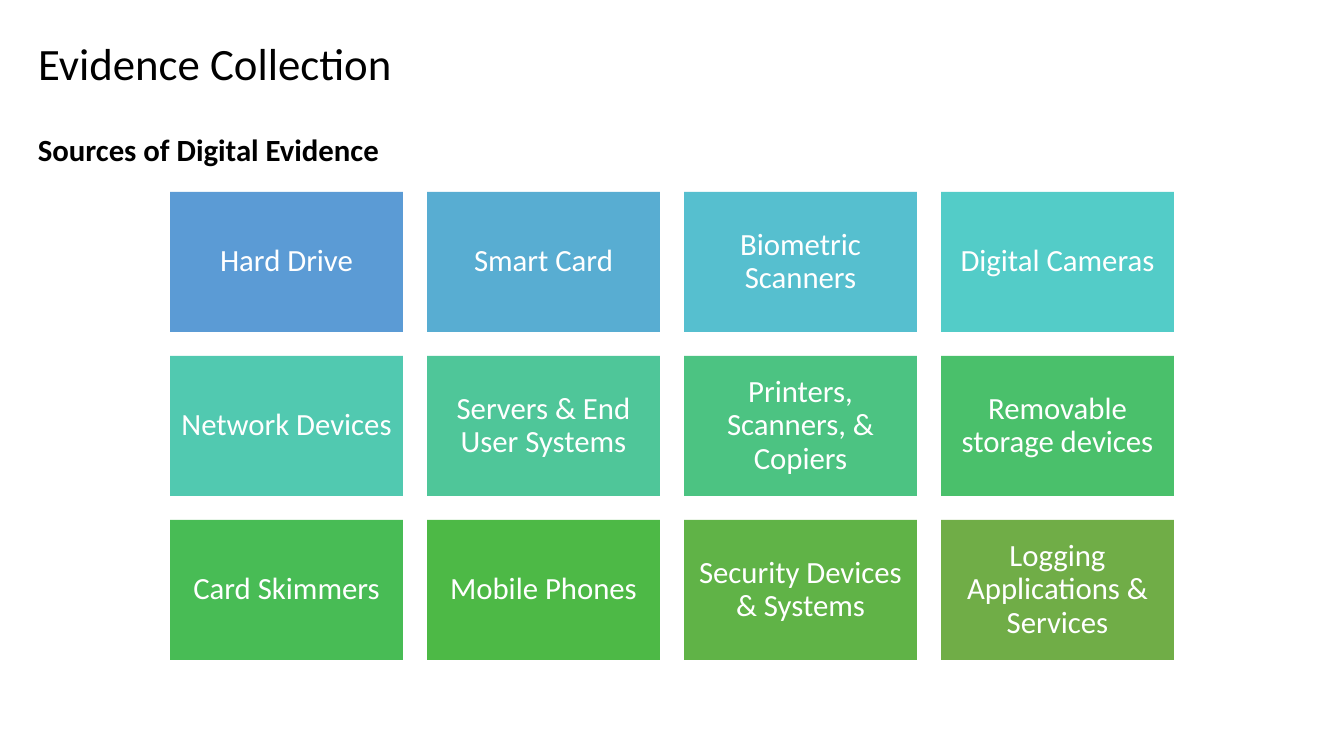
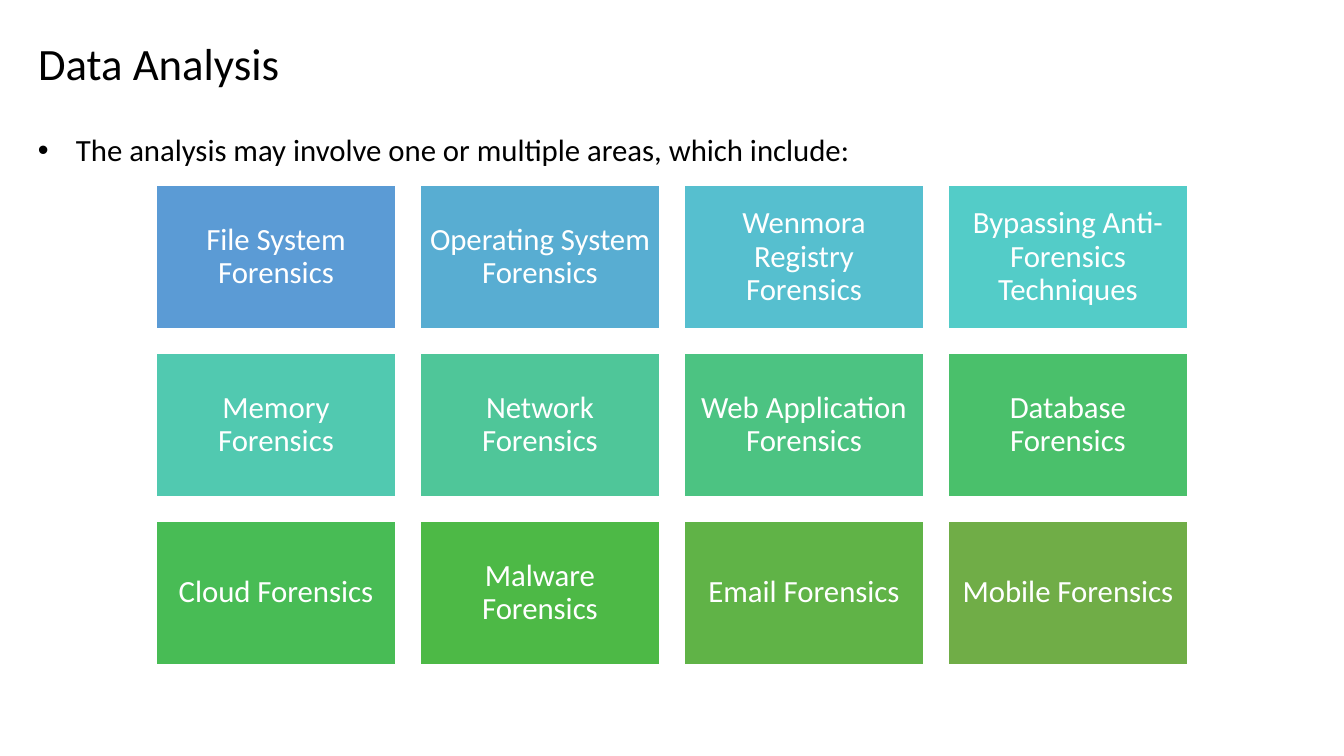
from lxml import etree
from pptx import Presentation
from pptx.dml.color import RGBColor
from pptx.enum.shapes import MSO_SHAPE
from pptx.enum.text import MSO_ANCHOR, PP_ALIGN
from pptx.oxml.ns import qn
from pptx.util import Emu, Pt

RECT = MSO_SHAPE.RECTANGLE
MIDDLE = MSO_ANCHOR.MIDDLE
LEFT, CENTER, JUSTIFY = PP_ALIGN.LEFT, PP_ALIGN.CENTER, PP_ALIGN.JUSTIFY

FONT = "Calibri"
BLACK, WHITE = "000000", "FFFFFF"
TILE_COLORS = [
    "5B9BD5", "58ADD2", "56BFCF", "53CCC8",
    "51C9B0", "4FC699", "4CC382", "4AC06B",
    "48BC55", "4DB946", "60B347", "70AD47",
]
COLUMNS = 4
GAP = 24
TILE_INSET = 9
BULLET_INDENT = 38

SLIDES = [
    {
        "title": "Evidence Collection",
        "lead": "Sources of Digital Evidence",
        "bullet": False,
        "outline": False,
        "grid": (170, 192, 233, 140),
        "tiles": [
            "Hard Drive", "Smart Card", "Biometric Scanners", "Digital Cameras",
            "Network Devices", "Servers & End User Systems",
            "Printers, Scanners, & Copiers", "Removable storage devices",
            "Card Skimmers", "Mobile Phones", "Security Devices & Systems",
            "Logging Applications & Services",
        ],
    },
    {
        "title": "Data Analysis",
        "lead": "The analysis may involve one or multiple areas, which include:",
        "bullet": True,
        "outline": True,
        "grid": (156, 185, 240, 144),
        "tiles": [
            "File System Forensics", "Operating System Forensics",
            "Wenmora Registry Forensics", "Bypassing Anti-Forensics Techniques",
            "Memory Forensics", "Network Forensics", "Web Application Forensics",
            "Database Forensics", "Cloud Forensics", "Malware Forensics",
            "Email Forensics", "Mobile Forensics",
        ],
    },
]


def px(n):
    return Emu(round(n * 914400 / 100.8))


def add_text(p, text, size, color, align, bold=False):
    p.alignment = align
    r = p.add_run()
    r.text = text
    r.font.name = FONT
    r.font.size = Pt(size)
    r.font.bold = bold
    r.font.color.rgb = RGBColor.from_string(color)


prs = Presentation()
prs.slide_width, prs.slide_height = px(1344), px(756)

for content in SLIDES:
    s = prs.slides.add_slide(prs.slide_layouts[5])

    title = s.shapes.title
    title.left, title.top, title.width, title.height = px(28), px(0), px(1287), px(126)
    title.text_frame.vertical_anchor = MIDDLE
    add_text(title.text_frame.paragraphs[0], content["title"], 32, BLACK, LEFT)

    lead = s.shapes.add_textbox(px(28), px(126), px(1287), px(539))
    tf = lead.text_frame
    tf.word_wrap = True
    p = tf.paragraphs[0]
    add_text(p, content["lead"], 22, BLACK, JUSTIFY, bold=not content["bullet"])
    if content["bullet"]:
        pPr = p._p.get_or_add_pPr()
        pPr.set("marL", str(px(BULLET_INDENT)))
        pPr.set("indent", str(-px(BULLET_INDENT)))
        etree.SubElement(pPr, qn("a:buFont")).set("typeface", "Arial")
        etree.SubElement(pPr, qn("a:buChar")).set("char", "•")

    left, top, width, height = content["grid"]
    for i, (text, color) in enumerate(zip(content["tiles"], TILE_COLORS)):
        row, col = divmod(i, COLUMNS)
        sp = s.shapes.add_shape(
            RECT,
            px(left + col * (width + GAP)),
            px(top + row * (height + GAP)),
            px(width),
            px(height),
        )
        sp.shadow.inherit = False
        sp.fill.solid()
        sp.fill.fore_color.rgb = RGBColor.from_string(color)
        if content["outline"]:
            sp.line.color.rgb = RGBColor.from_string(WHITE)
            sp.line.width = Pt(1)
        else:
            sp.line.fill.background()
        tf = sp.text_frame
        tf.word_wrap = True
        tf.vertical_anchor = MIDDLE
        tf.margin_left = tf.margin_right = px(TILE_INSET)
        tf.margin_top = tf.margin_bottom = px(TILE_INSET)
        p = tf.paragraphs[0]
        p.line_spacing = 0.9
        add_text(p, text, 22, WHITE, CENTER)

prs.save("out.pptx")
